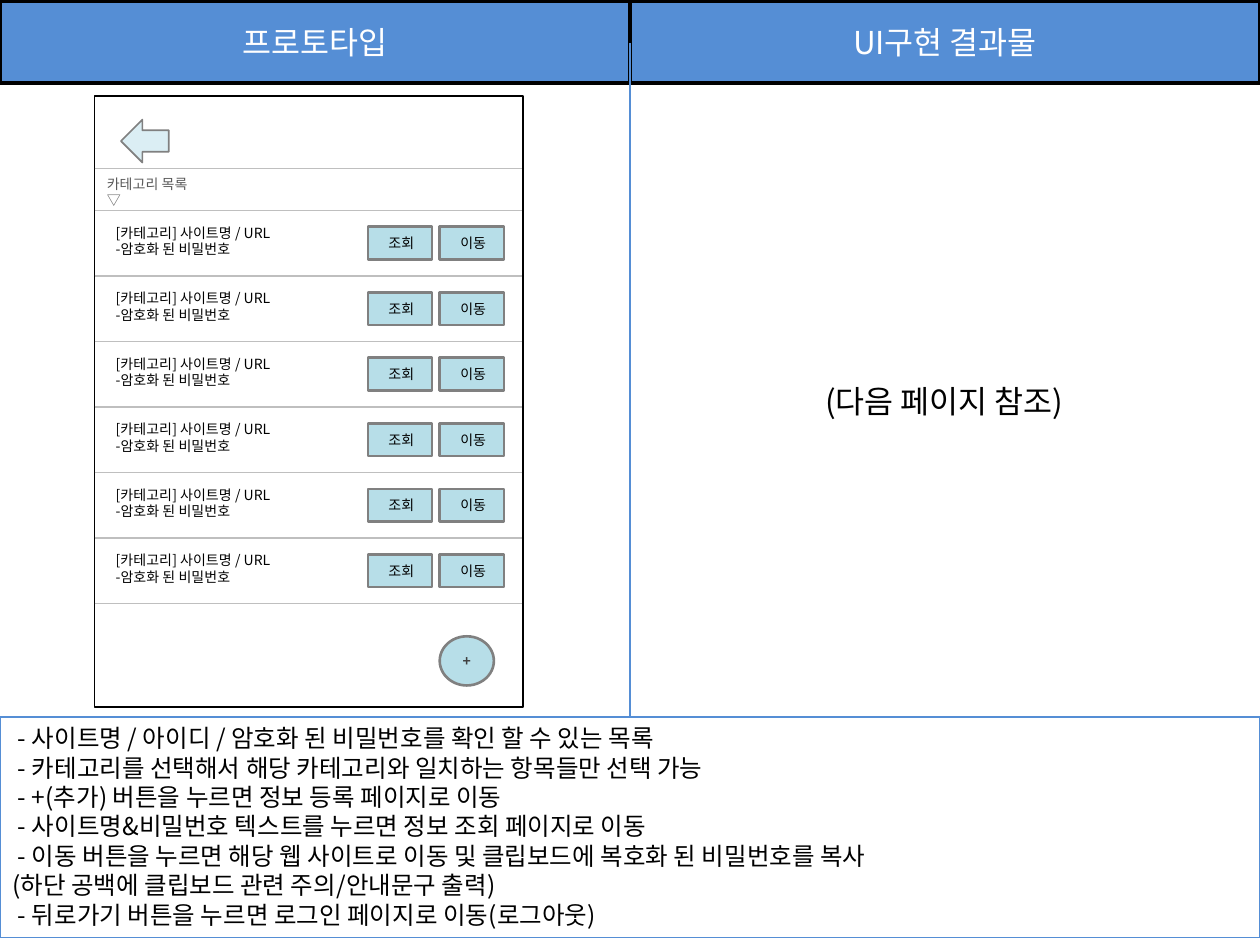
from lxml.etree import SubElement
from pptx import Presentation
from pptx.dml.color import RGBColor
from pptx.enum.shapes import MSO_CONNECTOR, MSO_SHAPE as SHAPE
from pptx.enum.text import MSO_ANCHOR as ANCHOR, PP_ALIGN as ALIGN
from pptx.oxml.ns import qn
from pptx.util import Inches, Pt

FONT = "Noto Sans CJK KR"
BLUE = RGBColor(0x55, 0x8E, 0xD5)
BLACK = RGBColor(0, 0, 0)
WHITE = RGBColor(0xFF, 0xFF, 0xFF)
AQUA = RGBColor(0xB7, 0xDE, 0xE8)
PALE_AQUA = RGBColor(0xDB, 0xEE, 0xF4)
GRAY = RGBColor(0x80, 0x80, 0x80)
LIGHT_GRAY = RGBColor(0xBF, 0xBF, 0xBF)
DARK_GRAY = RGBColor(0x59, 0x59, 0x59)
CHARCOAL = RGBColor(0x40, 0x40, 0x40)

prs = Presentation()
prs.slide_width, prs.slide_height = Inches(10), Inches(7.5)
slide = prs.slides.add_slide(prs.slide_layouts[6])


def add_box(text, x, y, w, h, shape=None, fill=None, line=None, width=1, size=8,
            color=BLACK, bold=False, align=ALIGN.LEFT, anchor=ANCHOR.TOP,
            insets=(0.1, 0.05, 0.1, 0.05)):
    at = [Inches(v) for v in (x, y, w, h)]
    if shape is None:
        s = slide.shapes.add_textbox(*at)
    else:
        s = slide.shapes.add_shape(shape, *at)
        s.shadow.inherit = False
        s.line.color.rgb = line
        s.line.width = Pt(width)
        if fill is None:
            s.fill.background()
        else:
            s.fill.solid()
            s.fill.fore_color.rgb = fill
    if not text:
        return
    tf = s.text_frame
    tf.word_wrap = True
    tf.vertical_anchor = anchor
    tf.margin_left, tf.margin_top, tf.margin_right, tf.margin_bottom = map(Inches, insets)
    tf.text = text
    for p in tf.paragraphs:
        p.alignment = align
        r = p.runs[0]
        r.font.name = FONT
        r.font.size = Pt(size)
        r.font.bold = bold
        r.font.color.rgb = color
        SubElement(r.font._element, qn("a:ea"), typeface=FONT)


def add_line(x1, y1, x2, y2, color):
    s = slide.shapes.add_connector(MSO_CONNECTOR.STRAIGHT, *map(Inches, (x1, y1, x2, y2)))
    s.line.color.rgb = color
    s.line.width = Pt(0.75)
    SubElement(s._element.spPr, qn("a:effectLst"))


for x, title in ((0, "프로토타입"), (5, "UI구현 결과물")):
    add_box(title, x, 0.01, 5, 0.65, SHAPE.RECTANGLE, fill=BLUE, line=BLACK, width=2,
            size=18, color=WHITE, align=ALIGN.CENTER, anchor=ANCHOR.MIDDLE)
add_line(5, 0.34, 5, 5.69, BLUE)

notes = [
    " - 사이트명 / 아이디 / 암호화 된 비밀번호를 확인 할 수 있는 목록",
    " - 카테고리를 선택해서 해당 카테고리와 일치하는 항목들만 선택 가능",
    " - +(추가) 버튼을 누르면 정보 등록 페이지로 이동",
    " - 사이트명&비밀번호 텍스트를 누르면 정보 조회 페이지로 이동",
    " - 이동 버튼을 누르면 해당 웹 사이트로 이동 및 클립보드에 복호화 된 비밀번호를 복사",
    "(하단 공백에 클립보드 관련 주의/안내문구 출력)",
    " - 뒤로가기 버튼을 누르면 로그인 페이지로 이동(로그아웃)",
]
add_box("\n".join(notes), 0, 5.69, 10, 1.75, SHAPE.RECTANGLE, line=BLUE, width=0.75, size=14)

add_box("", 0.75, 0.76, 3.4, 4.85, SHAPE.RECTANGLE, line=BLACK)
add_box("", 0.96, 0.95, 0.38, 0.34, SHAPE.LEFT_ARROW, fill=PALE_AQUA, line=GRAY)
add_box("카테고리 목록\n▽", 0.75, 1.34, 3.4, 0.48, color=DARK_GRAY,
        insets=(0.1, 0.05, 0, 0.05))
for y in (1.34, 1.67):
    add_line(0.75, y, 4.14, y, LIGHT_GRAY)

for i in range(6):
    y = 1.67 + 0.52 * i
    add_box("[카테고리] 사이트명 / URL\n-암호화 된 비밀번호", 0.82, y + 0.06, 1.81, 0.65)
    for x, label in ((2.92, "조회"), (3.49, "이동")):
        add_box(label, x, y + 0.13, 0.51, 0.26, SHAPE.RECTANGLE, fill=AQUA, line=GRAY,
                width=1.5, align=ALIGN.CENTER, anchor=ANCHOR.MIDDLE,
                insets=(0.12, 0.05, 0.1, 0.05))
    add_line(0.75, y + 0.52, 4.14, y + 0.52, LIGHT_GRAY)

add_box("+", 3.49, 5.05, 0.43, 0.39, SHAPE.OVAL, fill=AQUA, line=GRAY, width=1.5,
        color=CHARCOAL, bold=True, align=ALIGN.CENTER, anchor=ANCHOR.MIDDLE,
        insets=(0, 0, 0, 0))
add_box("(다음 페이지 참조)", 6, 2.98, 2.99, 0.4, size=18, align=ALIGN.CENTER)

prs.save("out.pptx")
